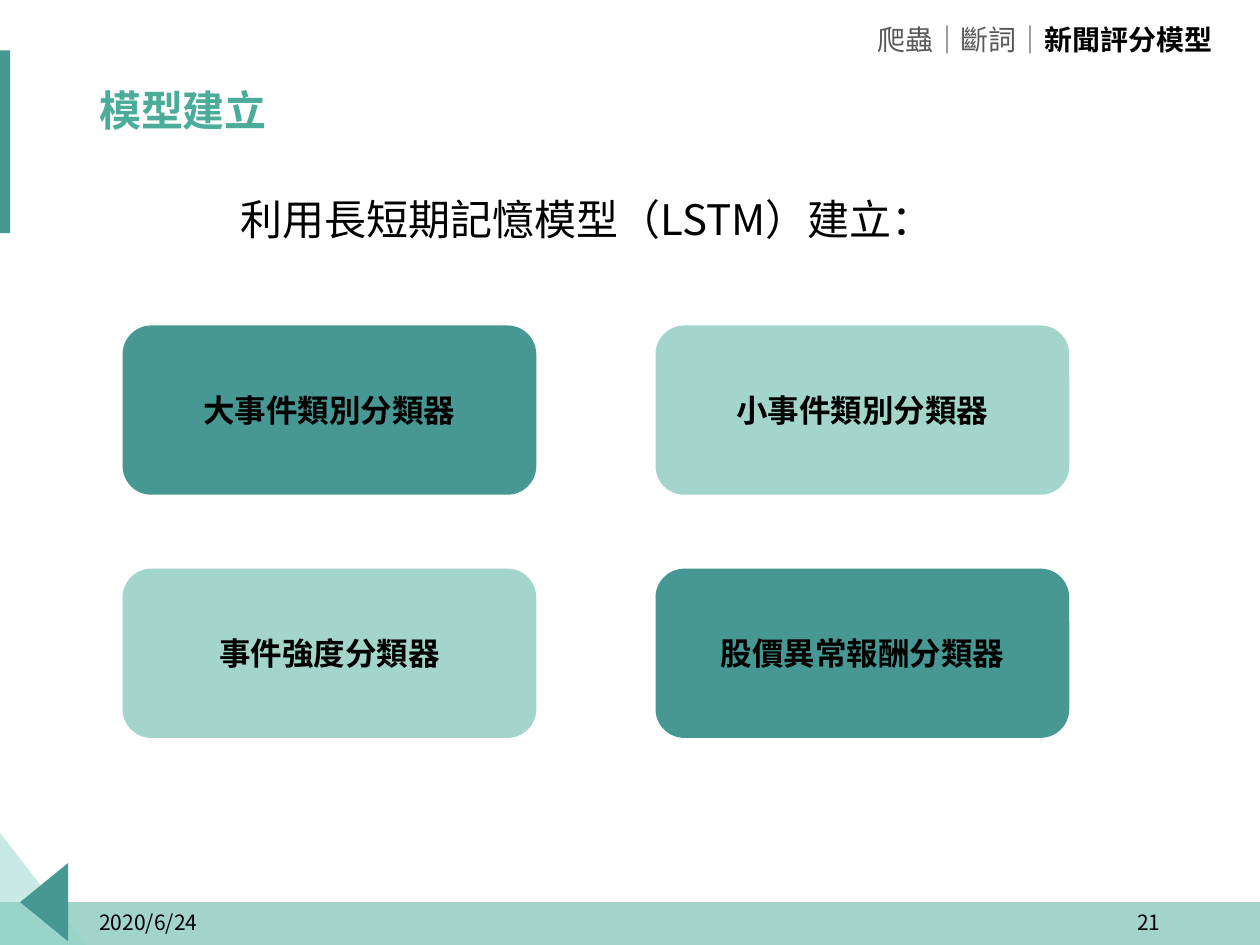
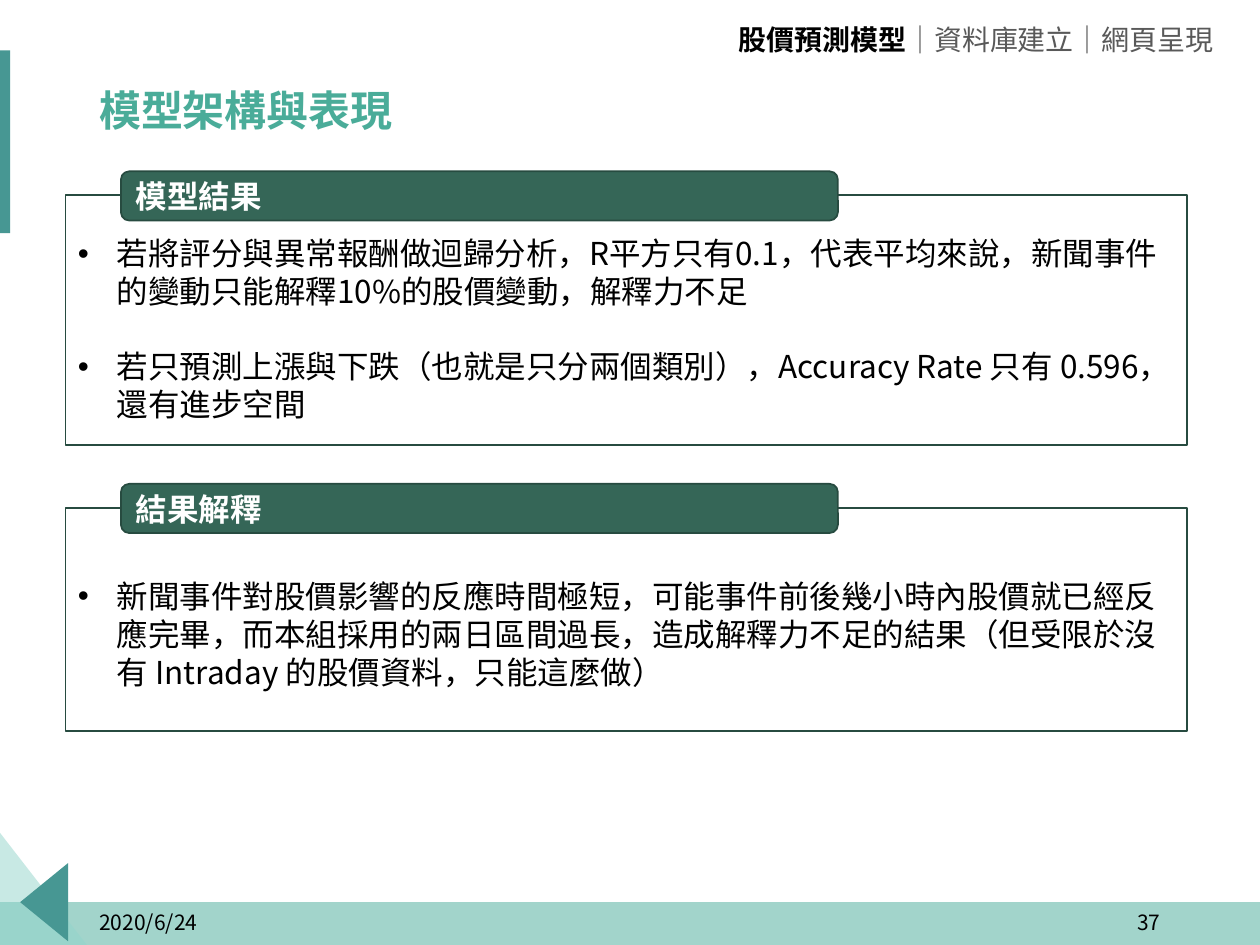
from lxml import etree
from pptx import Presentation
from pptx.dml.color import RGBColor
from pptx.enum import shapes, text
from pptx.oxml import ns
from pptx.util import Inches, Pt

TC, SC = "Noto Sans CJK TC", "Noto Sans CJK SC"
COLORS = {
    "black": "000000", "white": "FFFFFF", "grey": "595959",
    "title": "4AAC99", "teal": "479793", "mint": "A3D5CB", "pale": "92D4CB",
    "label": "356657", "frame": "274B40",
}
RECT, ROUND = shapes.MSO_SHAPE.RECTANGLE, shapes.MSO_SHAPE.ROUNDED_RECTANGLE
LEFT, CENTER, RIGHT = text.PP_ALIGN.LEFT, text.PP_ALIGN.CENTER, text.PP_ALIGN.RIGHT
TOP, MIDDLE = text.MSO_ANCHOR.TOP, text.MSO_ANCHOR.MIDDLE


def paint(sp, fill=None, line=None, alpha=None):
    """Set fill (alpha in percent) and a 1 pt line; None means neither."""
    sp.shadow.inherit = False
    if fill:
        sp.fill.solid()
        sp.fill.fore_color.rgb = RGBColor.from_string(COLORS[fill])
        if alpha:
            clr = sp.fill._xPr.find(".//" + ns.qn("a:srgbClr"))
            etree.SubElement(clr, ns.qn("a:alpha"), val=str(alpha * 1000))
    else:
        sp.fill.background()
    if line:
        sp.line.color.rgb = RGBColor.from_string(COLORS[line])
        sp.line.width = Pt(1)
    else:
        sp.line.fill.background()


def write(sp, paragraphs, size, color="black", bold=False, align=LEFT,
          anchor=MIDDLE, face=TC, wrap=True):
    """Fill a shape with paragraphs of one style and return them."""
    tf = sp.text_frame
    tf.word_wrap = wrap
    tf.vertical_anchor = anchor
    for i, content in enumerate(paragraphs):
        p = tf.add_paragraph() if i else tf.paragraphs[0]
        p.text = content
        p.alignment = align
        p.font.size, p.font.bold, p.font.name = Pt(size), bold, face
        p.font.color.rgb = RGBColor.from_string(COLORS[color])
        ea = etree.SubElement(p.font._element, ns.qn("a:ea"))
        ea.set("typeface", face)
    return tf.paragraphs


prs = Presentation()
prs.slide_width, prs.slide_height = Inches(10), Inches(7.5)

# title, title font, page number, chapters, current chapter, chapter box left and width
pages = [
    ("模型建立", TC, "21", ["爬蟲", "斷詞", "新聞評分模型"], "新聞評分模型", 6.83, 2.89),
    ("模型架構與表現", SC, "37", ["股價預測模型", "資料庫建立", "網頁呈現"], "股價預測模型", 5.71, 4.02),
]
corner_triangles = [
    ([(0, 6.61), (0.69, 7.5), (0, 7.5)], "pale", 50),
    ([(0.54, 6.85), (0.54, 7.47), (0.16, 7.16)], "teal", None),
]

# Shared frame: footer band, corner, side bar, title, date, number, chapters
slides = []
for title, title_face, number, chapters, current, nav_left, nav_width in pages:
    s = prs.slides.add_slide(prs.slide_layouts[6])
    slides.append(s)

    band = s.shapes.add_shape(RECT, 0, Inches(7.16), Inches(10), Inches(0.34))
    paint(band, "title", alpha=51)
    for points, color, alpha in corner_triangles:
        start, *others = [(Inches(x), Inches(y)) for x, y in points]
        builder = s.shapes.build_freeform(*start)
        builder.add_line_segments(others, close=True)
        paint(builder.convert_to_shape(), color, alpha=alpha)
    side_bar = s.shapes.add_shape(RECT, Inches(-0.08), Inches(0.4), Inches(0.16), Inches(1.45))
    paint(side_bar, "teal")

    heading = s.shapes.add_textbox(Inches(0.69), Inches(0.57), Inches(8.62), Inches(0.66))
    p = write(heading, [title], 24, "title", True, face=title_face)[0]
    p.line_spacing = 0.9
    p.font._element.set("spc", "-10")

    for left, content, align in [(0.69, "2020/6/24", LEFT), (7.06, number, RIGHT)]:
        footer = s.shapes.add_textbox(Inches(left), Inches(7.12), Inches(2.25), Inches(0.4))
        write(footer, [content], 12, align=align)

    nav = s.shapes.add_textbox(Inches(nav_left), Inches(0.13), Inches(nav_width), Inches(0.37))
    p = write(nav, [""], 16, "grey", align=RIGHT, anchor=TOP, wrap=False)[0]
    for i, chapter in enumerate(chapters):
        if i:
            r = p.add_run()
            r.text = "｜"
            r.font.name = SC
            etree.SubElement(r.font._element, ns.qn("a:ea"), typeface=SC)
        r = p.add_run()
        r.text = chapter
        if chapter == current:
            r.font.bold = True
            r.font.color.rgb = RGBColor.from_string(COLORS["black"])

model_slide, result_slide = slides

# Slide 1: four classifiers in a checkerboard of two colours
intro = model_slide.shapes.add_textbox(Inches(1.81), Inches(1.49), Inches(6.12), Inches(0.5))
write(intro, ["利用長短期記憶模型（LSTM）建立："], 24, anchor=TOP)

classifiers = [
    ["大事件類別分類器", "小事件類別分類器"],
    ["事件強度分類器", "股價異常報酬分類器"],
]
for row, names in enumerate(classifiers):
    for col, name in enumerate(names):
        box = model_slide.shapes.add_shape(
            ROUND, Inches(0.98 + 4.23 * col), Inches(2.59 + 1.93 * row),
            Inches(3.27), Inches(1.33))
        color = ("teal", "mint")[(row + col) % 2]
        paint(box, color, color)
        write(box, [name], 18, bold=True, align=CENTER)

# Slide 2: framed sections; label, frame top and height, text top and height, bullets
sections = [
    ("模型結果", 1.55, 1.98, 1.81, 1.92, [
        "若將評分與異常報酬做迴歸分析，R平方只有0.1，代表平均來說，新聞事件的變動只能解釋10%的股價變動，解釋力不足",
        "若只預測上漲與下跌（也就是只分兩個類別），Accuracy Rate 只有 0.596，還有進步空間",
    ]),
    ("結果解釋", 4.03, 1.77, 4.53, 1.01, [
        "新聞事件對股價影響的反應時間極短，可能事件前後幾小時內股價就已經反應完畢，"
        "而本組採用的兩日區間過長，造成解釋力不足的結果（但受限於沒有 Intraday 的股價資料，只能這麼做）",
    ]),
]
for label, frame_top, frame_height, text_top, text_height, bullets in sections:
    body = result_slide.shapes.add_textbox(
        Inches(0.52), Inches(text_top), Inches(8.9), Inches(text_height))
    for i, p in enumerate(write(body, bullets, 18, anchor=TOP)):
        if i:
            p.space_before = Pt(21.5)
        pPr = p._p.get_or_add_pPr()
        pPr.set("marL", str(Inches(0.31)))
        pPr.set("indent", str(Inches(-0.31)))
        bullet = etree.Element(ns.qn("a:buChar"), char="•")
        pPr.find(ns.qn("a:defRPr")).addprevious(bullet)
        font = etree.Element(ns.qn("a:buFont"), typeface="Arial")
        bullet.addprevious(font)

    frame = result_slide.shapes.add_shape(
        RECT, Inches(0.52), Inches(frame_top), Inches(8.9), Inches(frame_height))
    paint(frame, line="frame")
    tab = result_slide.shapes.add_shape(
        ROUND, Inches(0.96), Inches(frame_top - 0.19), Inches(5.69), Inches(0.39))
    paint(tab, "label", "frame")
    write(tab, [label], 18, "white", True)

prs.save("out.pptx")
